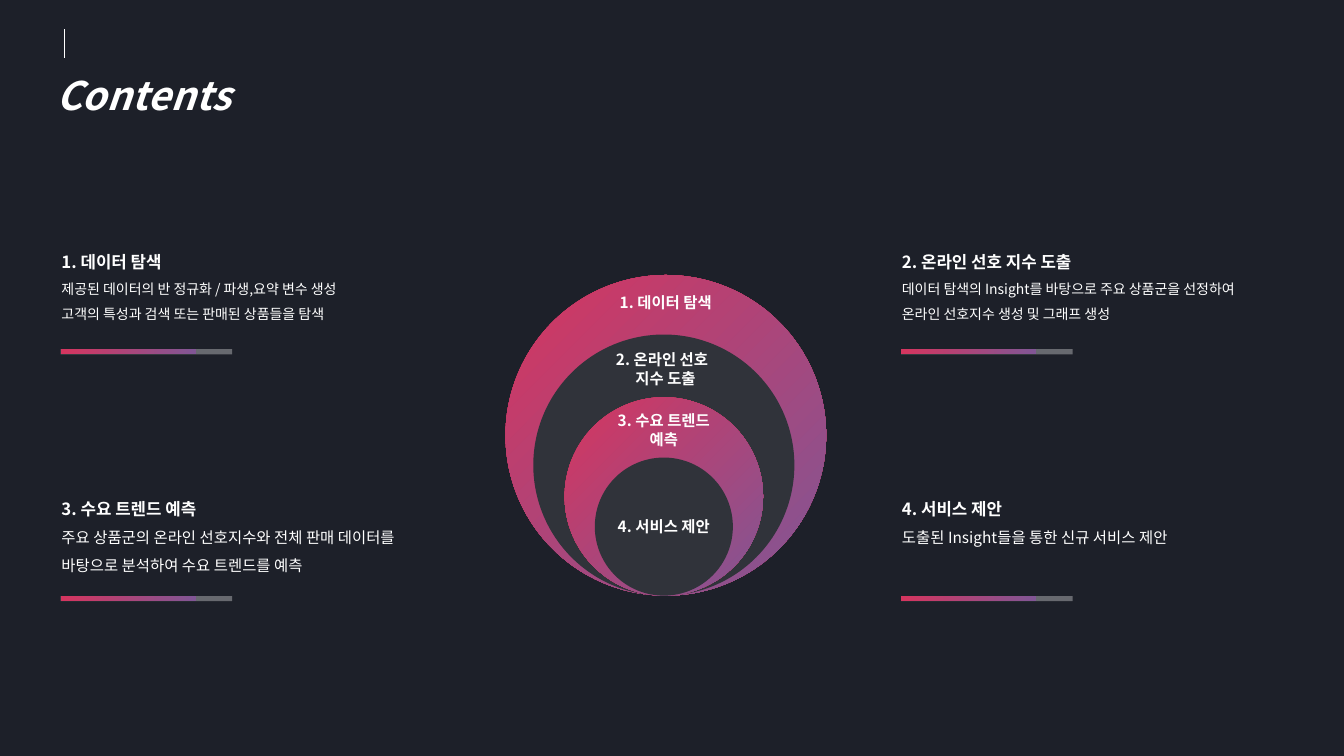
from lxml.etree import SubElement
from pptx import Presentation
from pptx.dml.color import RGBColor
from pptx.enum.shapes import MSO_CONNECTOR, MSO_SHAPE
from pptx.enum.text import MSO_AUTO_SIZE, PP_ALIGN
from pptx.oxml.ns import qn
from pptx.util import Cm, Pt

FONT = "Noto Sans CJK KR"
NAVY = RGBColor(0x1D, 0x20, 0x29)
GREY = RGBColor(0x30, 0x33, 0x3A)
RED = RGBColor(0xD5, 0x35, 0x5F)
PURPLE = RGBColor(0x81, 0x56, 0x95)
WHITE = RGBColor(0xFF, 0xFF, 0xFF)

# Middle, diameter, label top, label lines
RINGS = [
    (16.78, 8.08, 7.26, ["1. 데이터 탐색"]),
    (16.73, 6.58, 8.71, ["2. 온라인 선호 ", " 지수 도출"]),
    (16.73, 5, 10.24, ["3. 수요 트렌드", "예측"]),
    (16.73, 3.48, 12.9, ["4. 서비스 제안"]),
]
RING_BASE = 15.01
LABEL_WIDTH = 3.48

# Left, top, body size, heading, body lines
TOPICS = [
    (1.3, 5.97, 10, "1. 데이터 탐색",
     ["제공된 데이터의 반 정규화 / 파생,요약 변수 생성",
      "고객의 특성과 검색 또는 판매된 상품들을 탐색"]),
    (1.3, 12.19, 11, "3. 수요 트렌드 예측",
     ["주요 상품군의 온라인 선호지수와 전체 판매 데이터를",
      "바탕으로 분석하여 수요 트렌드를 예측"]),
    (22.48, 5.97, 10, "2. 온라인 선호 지수 도출",
     ["데이터 탐색의 Insight를 바탕으로 주요 상품군을 선정하여",
      "온라인 선호지수 생성 및 그래프 생성"]),
    (22.48, 12.19, 11, "4. 서비스 제안",
     ["도출된 Insight들을 통한 신규 서비스 제안"]),
]


def add_text(slide, box, lines, align=PP_ALIGN.LEFT, spacing=None):
    """Add a text box; each line is (text, size, bold, italic)."""
    shape = slide.shapes.add_textbox(*map(Cm, box))
    frame = shape.text_frame
    frame.word_wrap = True
    frame.auto_size = MSO_AUTO_SIZE.SHAPE_TO_FIT_TEXT
    for i, (text, size, bold, italic) in enumerate(lines):
        para = frame.add_paragraph() if i else frame.paragraphs[0]
        para.text = text
        para.alignment = align
        para.line_spacing = spacing
        font = para.font
        font.name = FONT
        font.size = Pt(size)
        font.bold = bold
        font.italic = italic
        font.color.rgb = WHITE
        props = para._p.pPr.find(qn("a:defRPr"))
        SubElement(props, qn("a:ea"), typeface=FONT)


def add_form(slide, kind, box):
    shape = slide.shapes.add_shape(kind, *map(Cm, box))
    shape.shadow.inherit = False
    shape.line.fill.background()
    return shape


def fill_plain(shape, color, alpha=None):
    shape.fill.solid()
    shape.fill.fore_color.rgb = color
    if alpha:
        tone = shape._element.spPr.find(qn("a:solidFill"))[0]
        SubElement(tone, qn("a:alpha"), val=str(alpha * 1000))


def fill_blend(shape, angle):
    """Blend red into purple; the angle runs counter-clockwise."""
    shape.fill.gradient()
    shape.fill.gradient_angle = angle
    for stop, color in zip(shape.fill.gradient_stops, (RED, PURPLE)):
        stop.color.rgb = color


def add_title(slide):
    add_text(slide, (1.17, 1.09, 11.76, 1.83),
             [("Contents", 28, True, True)], spacing=1.5)
    rule = slide.shapes.add_connector(
        MSO_CONNECTOR.STRAIGHT, Cm(1.63), Cm(0.74), Cm(1.63), Cm(1.45))
    rule.line.color.rgb = WHITE
    rule.line.width = Pt(0.5)
    SubElement(rule._element.spPr, qn("a:effectLst"))


def add_rings(slide):
    for i, (mid, size, top, lines) in enumerate(RINGS):
        ring = add_form(slide, MSO_SHAPE.OVAL,
                        (mid - size / 2, RING_BASE - size, size, size))
        if i % 2:
            fill_plain(ring, GREY)
        else:
            fill_blend(ring, 315)
        box = (mid - LABEL_WIDTH / 2, top, LABEL_WIDTH,
               0.28 + 0.46 * len(lines))
        add_text(slide, box, [(line, 11, True, False) for line in lines],
                 PP_ALIGN.CENTER)


def add_topic(slide, left, top, size, heading, body):
    x, y = left + 0.23, top + 2.83
    track = add_form(slide, MSO_SHAPE.RECTANGLE, (x, y, 4.32, 0.13))
    fill_plain(track, WHITE, 33)
    bar = add_form(slide, MSO_SHAPE.RECTANGLE, (x, y, 3.4, 0.13))
    fill_blend(bar, 0)
    lines = [(heading, 12, True, False)]
    lines += [(line, size, False, False) for line in body]
    add_text(slide, (left, top, 10.11, 0.95 + 0.68 * len(body)), lines,
             spacing=1.5)


def main():
    deck = Presentation()
    deck.slide_width, deck.slide_height = Cm(33.87), Cm(19.05)
    slide = deck.slides.add_slide(deck.slide_layouts[6])
    slide.background.fill.solid()
    slide.background.fill.fore_color.rgb = NAVY
    add_rings(slide)
    add_title(slide)
    for topic in TOPICS:
        add_topic(slide, *topic)
    deck.save("out.pptx")


if __name__ == "__main__":
    main()
